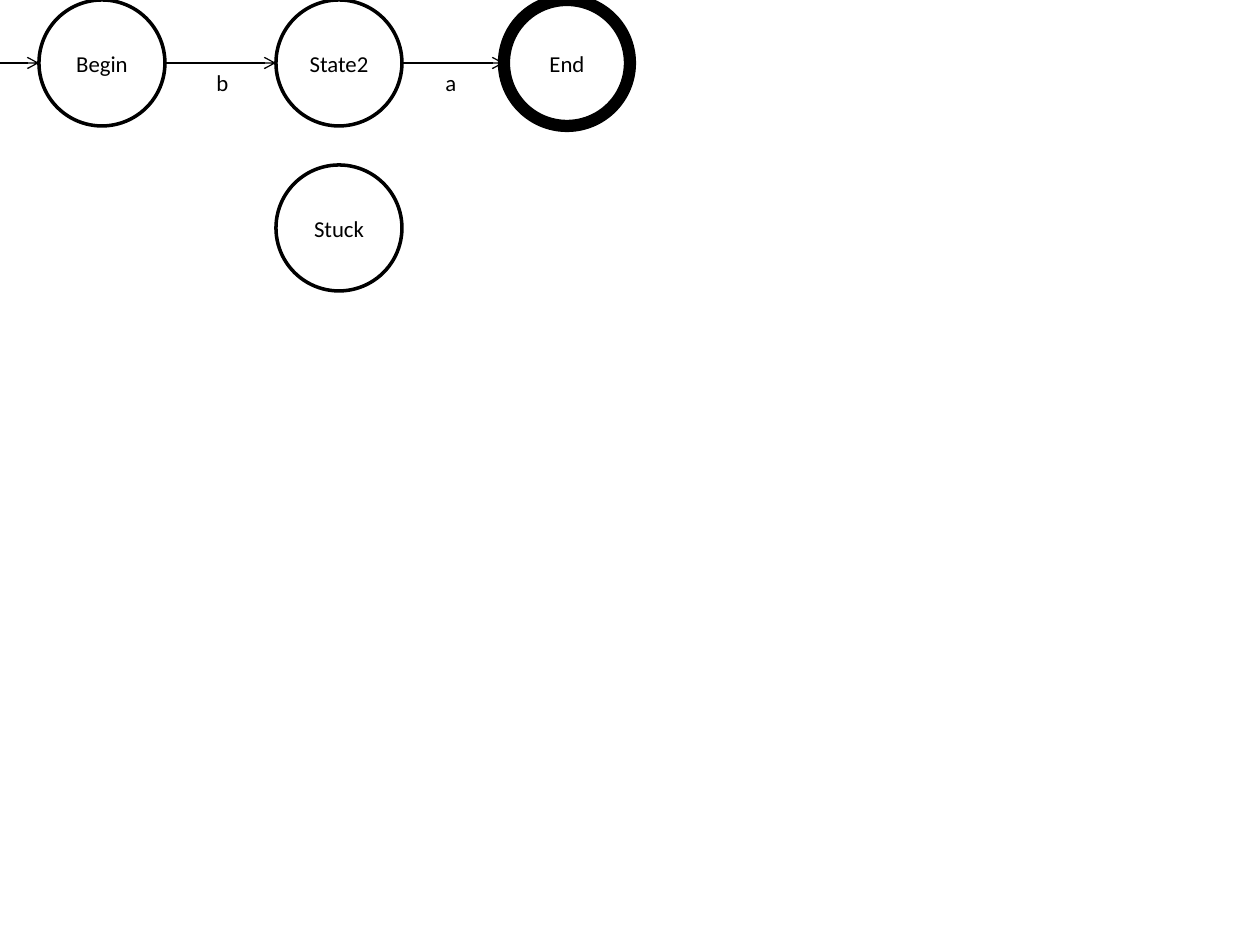
from dataclasses import dataclass

from lxml.etree import SubElement
from pptx import Presentation
from pptx.dml.color import RGBColor
from pptx.enum.shapes import MSO_CONNECTOR as Connector, MSO_SHAPE as Shape
from pptx.enum.text import MSO_ANCHOR as Anchor, MSO_AUTO_SIZE as AutoSize, PP_ALIGN as Align
from pptx.oxml.ns import qn
from pptx.util import Emu, Pt

SCALE = 914400 // 126
COLORS = {"ink": "000000", "paper": "FFFFFF"}
DIAMETER = 126
AXIS_Y = DIAMETER // 2


@dataclass(frozen=True)
class State:
    name: str
    left: int
    top: int = 0
    border: float = 2


@dataclass(frozen=True)
class Arrow:
    start: int
    end: int


@dataclass(frozen=True)
class Label:
    text: str
    left: int


BEGIN = State("Begin", 39)
STATE2 = State("State2", 276)
END = State("End", 504, border=7)
STUCK = State("Stuck", STATE2.left, 165)

STATES = [BEGIN, STATE2, END, STUCK]
ARROWS = [Arrow(0, BEGIN.left)] + [
    Arrow(a.left + DIAMETER, b.left) for a, b in [(BEGIN, STATE2), (STATE2, END)]
]
LABELS = [Label("b", 204), Label("a", 433)]


def px(n: int) -> Emu:
    return Emu(n * SCALE)


def rgb(name: str) -> RGBColor:
    return RGBColor.from_string(COLORS[name])


def write(tf, text: str, *, align=Align.LEFT, anchor=Anchor.TOP, size: float = 13) -> None:
    tf.word_wrap = False
    tf.vertical_anchor = anchor
    p = tf.paragraphs[0]
    p.alignment = align
    r = p.add_run()
    r.text = text
    r.font.name = "Calibri"
    r.font.size = Pt(size)
    r.font.color.rgb = rgb("ink")


def draw_state(slide, state: State) -> None:
    s = slide.shapes.add_shape(
        Shape.FLOWCHART_CONNECTOR, px(state.left), px(state.top), px(DIAMETER), px(DIAMETER)
    )
    s.shadow.inherit = False
    s.fill.solid()
    s.fill.fore_color.rgb = rgb("paper")
    s.line.color.rgb = rgb("ink")
    s.line.width = Pt(state.border)
    write(s.text_frame, state.name, align=Align.CENTER, anchor=Anchor.MIDDLE)


def draw_arrow(slide, arrow: Arrow) -> None:
    s = slide.shapes.add_connector(
        Connector.STRAIGHT, px(arrow.start), px(AXIS_Y), px(arrow.end), px(AXIS_Y)
    )
    s.line.color.rgb = rgb("ink")
    s.line.width = Pt(0.75)
    SubElement(s.line._get_or_add_ln(), qn("a:tailEnd"), type="arrow")
    SubElement(s._element.spPr, qn("a:effectLst"))


def draw_label(slide, label: Label) -> None:
    s = slide.shapes.add_textbox(px(label.left), px(AXIS_Y), px(38), px(40))
    s.text_frame.auto_size = AutoSize.SHAPE_TO_FIT_TEXT
    write(s.text_frame, label.text)


def main() -> None:
    prs = Presentation()
    prs.slide_width, prs.slide_height = px(1260), px(945)
    slide = prs.slides.add_slide(prs.slide_layouts[6])
    for state in STATES:
        draw_state(slide, state)
    for arrow in ARROWS:
        draw_arrow(slide, arrow)
    for label in LABELS:
        draw_label(slide, label)
    prs.save("out.pptx")


main()
